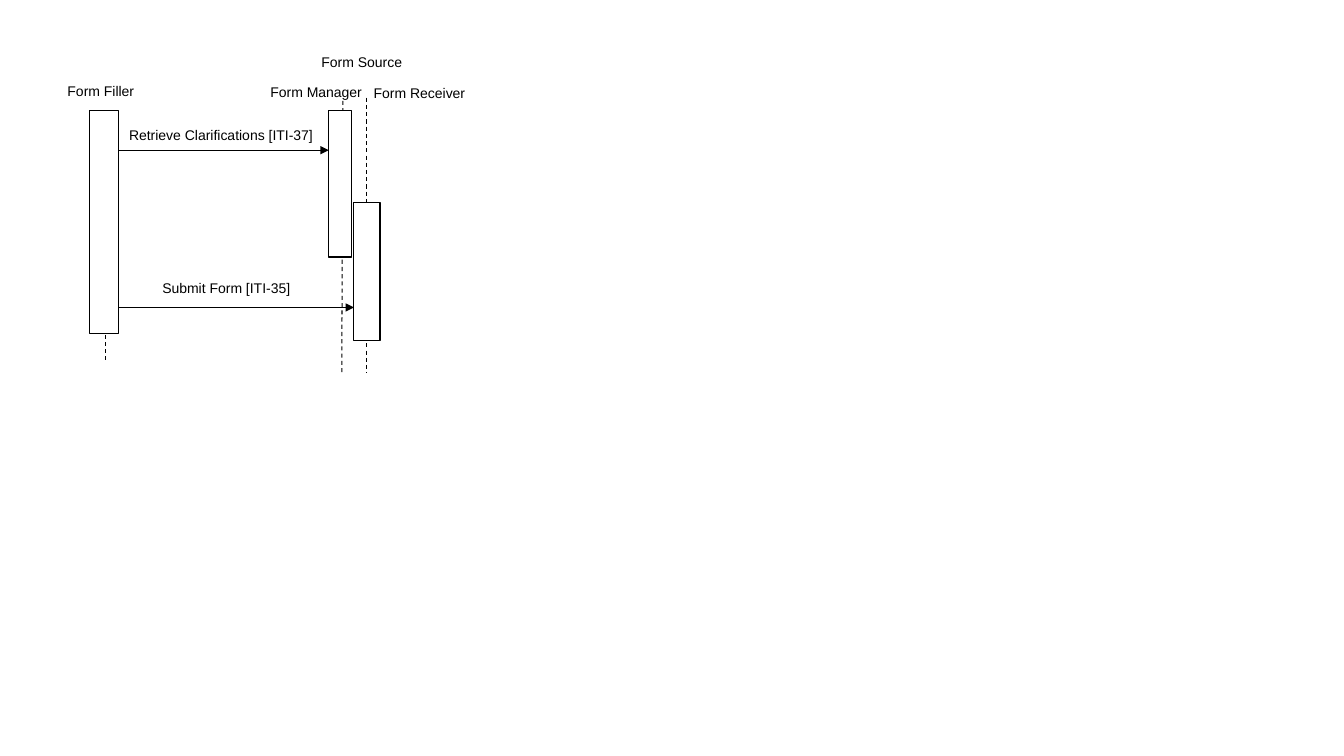
from dataclasses import dataclass

from lxml.etree import SubElement
from pptx import Presentation
from pptx.dml.color import RGBColor
from pptx.enum.dml import MSO_LINE
from pptx.enum.shapes import MSO_CONNECTOR, MSO_SHAPE
from pptx.enum.text import PP_ALIGN
from pptx.oxml.ns import qn
from pptx.shapes.connector import Connector
from pptx.slide import Slide
from pptx.util import Inches, Pt

BLACK = RGBColor(0x00, 0x00, 0x00)
WHITE = RGBColor(0xFF, 0xFF, 0xFF)
FONT = "Arial"
FONT_SIZE = Pt(10)
LINE_WIDTH = Pt(0.75)


@dataclass(frozen=True)
class Label:
    text: str
    left: float
    top: float
    width: float
    height: float
    align: PP_ALIGN = PP_ALIGN.LEFT
    filled: bool = True
    inset_x: float = 0
    inset_y: float = 0


@dataclass(frozen=True)
class Lifeline:
    x_top: float
    top: float
    x_bottom: float
    bottom: float


@dataclass(frozen=True)
class Activation:
    left: float
    top: float
    width: float
    height: float

    @property
    def right(self) -> float:
        return self.left + self.width


@dataclass(frozen=True)
class Message:
    sender: Activation
    receiver: Activation
    y: float


FILLER = Activation(0.89, 1.1, 0.29, 2.21)
MANAGER = Activation(3.26, 1.1, 0.23, 1.45)
RECEIVER = Activation(3.51, 2.01, 0.26, 1.37)

LABELS = [
    Label("Form Filler", 0.48, 0.82, 1.04, 0.35, PP_ALIGN.CENTER),
    Label("Form Manager", 2.62, 0.83, 1.03, 0.35, PP_ALIGN.CENTER),
    Label("Form Receiver", 3.66, 0.84, 1, 0.35, PP_ALIGN.CENTER),
    Label("Retrieve Clarifications [ITI-37]", 1.28, 1.26, 1.93, 0.4),
    Label("Submit Form [ITI-35]", 1.61, 2.77, 1.36, 0.24),
    Label("Form Source", 3.09, 0.48, 1.37, 0.32, filled=False, inset_x=0.1, inset_y=0.05),
]
LIFELINES = [
    Lifeline(1.05, 1.1, 1.05, 3.57),
    Lifeline(3.4, 1, 3.39, 3.7),
    Lifeline(3.64, 0.97, 3.64, 3.7),
]
MESSAGES = [Message(FILLER, MANAGER, 1.49), Message(FILLER, RECEIVER, 3.05)]


def add_label(s: Slide, label: Label) -> None:
    sp = s.shapes.add_textbox(
        Inches(label.left), Inches(label.top), Inches(label.width), Inches(label.height)
    )
    if label.filled:
        sp.fill.solid()
        sp.fill.fore_color.rgb = WHITE
    tf = sp.text_frame
    tf.word_wrap = True
    tf.margin_left = tf.margin_right = Inches(label.inset_x)
    tf.margin_top = tf.margin_bottom = Inches(label.inset_y)
    tf.text = label.text
    p = tf.paragraphs[0]
    p.alignment = label.align
    r = p.runs[0]
    r.font.name = FONT
    r.font.size = FONT_SIZE
    r.font.color.rgb = BLACK


def add_line(s: Slide, x1: float, y1: float, x2: float, y2: float) -> Connector:
    line = s.shapes.add_connector(
        MSO_CONNECTOR.STRAIGHT, Inches(x1), Inches(y1), Inches(x2), Inches(y2)
    )
    line.line.color.rgb = BLACK
    line.line.width = LINE_WIDTH
    SubElement(line._element.spPr, qn("a:effectLst"))
    return line


def add_lifeline(s: Slide, lifeline: Lifeline) -> None:
    line = add_line(s, lifeline.x_top, lifeline.top, lifeline.x_bottom, lifeline.bottom)
    line.line.dash_style = MSO_LINE.DASH


def add_activation(s: Slide, bar: Activation) -> None:
    sp = s.shapes.add_shape(
        MSO_SHAPE.RECTANGLE,
        Inches(bar.left), Inches(bar.top), Inches(bar.width), Inches(bar.height),
    )
    sp.shadow.inherit = False
    sp.fill.solid()
    sp.fill.fore_color.rgb = WHITE
    sp.line.color.rgb = BLACK
    sp.line.width = LINE_WIDTH


def add_message(s: Slide, message: Message) -> None:
    arrow = add_line(s, message.sender.right, message.y, message.receiver.left, message.y)
    SubElement(arrow.line._get_or_add_ln(), qn("a:tailEnd"), type="triangle")


def main() -> None:
    prs = Presentation()
    prs.slide_width = Inches(13.33)
    prs.slide_height = Inches(7.5)
    s = prs.slides.add_slide(prs.slide_layouts[6])
    for label in LABELS:
        add_label(s, label)
    for lifeline in LIFELINES:
        add_lifeline(s, lifeline)
    for bar in (FILLER, MANAGER, RECEIVER):
        add_activation(s, bar)
    for message in MESSAGES:
        add_message(s, message)
    prs.save("out.pptx")


if __name__ == "__main__":
    main()
